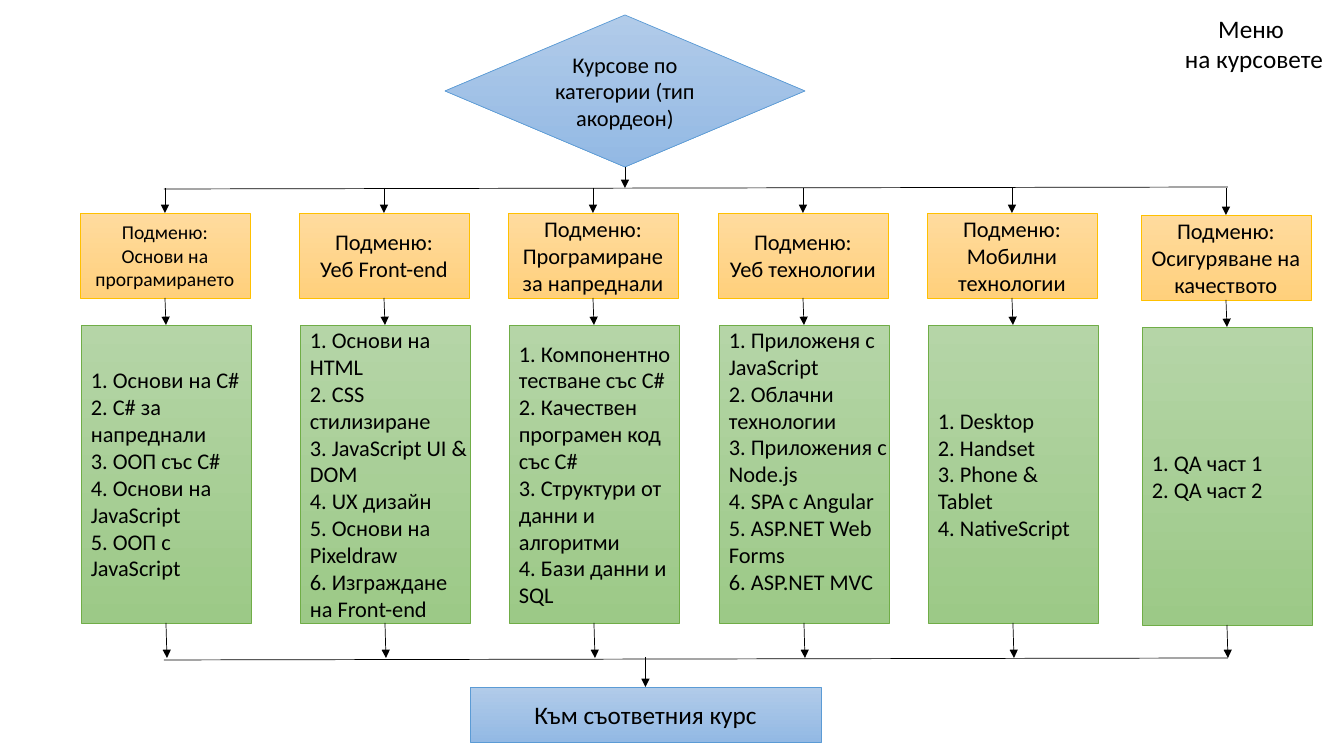
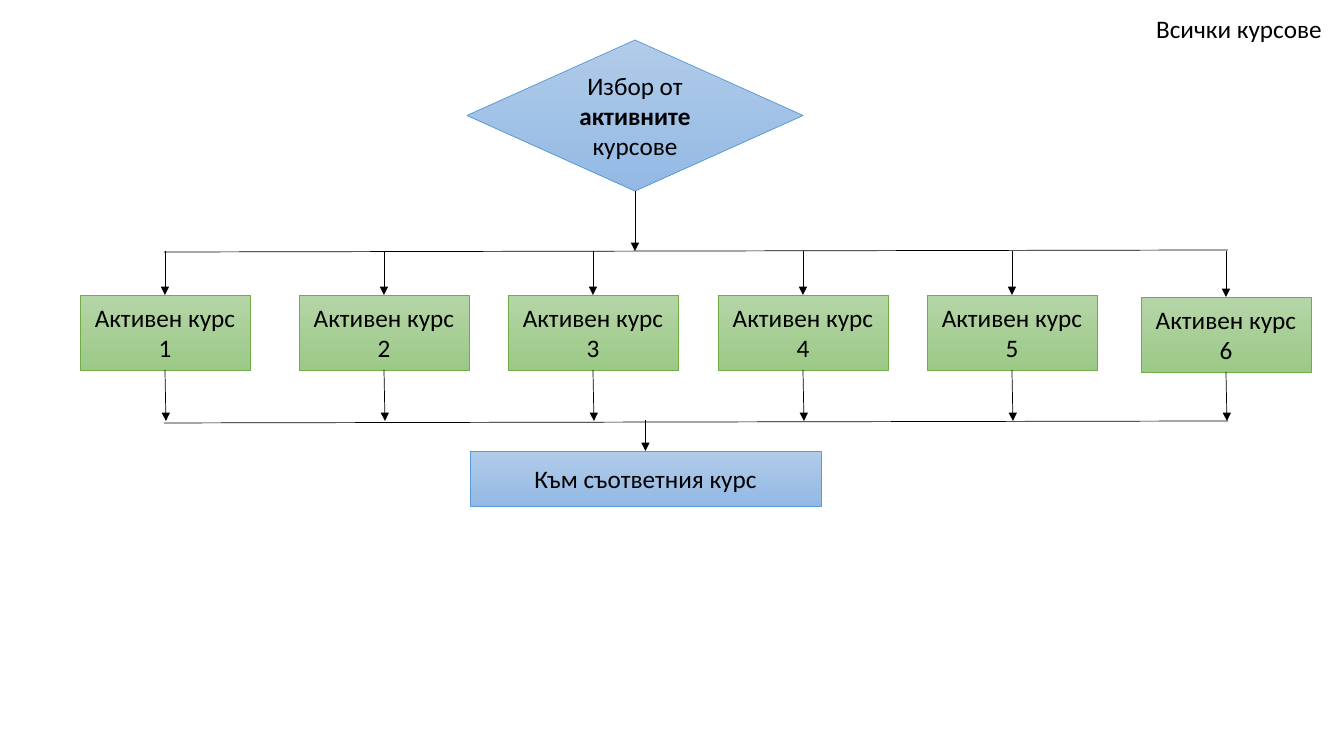
from pptx import Presentation
from pptx import util as u
from pptx.dml.color import RGBColor
from pptx.enum import shapes, text
from pptx.oxml.ns import qn
from lxml import etree

# Content: a paragraph is a string, or a tuple whose every second span is bold
MENU_TITLE = ["Меню ", "на курсовете"]
MENU_CHOICE = ["Курсове по категории (тип акордеон)"]
TARGET = ["Към съответния курс"]
SUBMENUS = [  # heading, heading size, courses, extra space under the courses
    (["Подменю:\vОснови на програмирането"], 14,
     ["1. Основи на C#", "2. C# за напреднали", "3. ООП със C#",
      "4. Основи на JavaScript", "5. ООП с JavaScript"], 0),
    (["Подменю:", "Уеб Front-end"], 16,
     ["1. Основи на HTML", "2. CSS стилизиране", "3. JavaScript UI & DOM",
      "4. UX дизайн", "5. Основи на Pixeldraw", "6. Изграждане на Front-end"], 0),
    (["Подменю:", "Програмиране за напреднали"], 16,
     ["1. Компонентно тестване със C#", "2. Качествен програмен код със C#",
      "3. Структури от данни и алгоритми", "4. Бази данни и SQL"], 0),
    (["Подменю:", "Уеб технологии"], 16,
     ["1. Приложеня с JavaScript", "2. Oблачни технологии",
      "3. Приложения с Node.js", "4. SPA с Angular",
      "5. ASP.NET Web Forms", "6. ASP.NET MVC"], 27),
    (["Подменю:", "Мобилни технологии"], 16,
     ["1. Desktop", "2. Handset", "3. Phone & Tablet", "4. NativeScript"], 0),
    (["Подменю:", "Осигуряване на качеството"], 16,
     ["1. QA част 1", "2. QA част 2"], 0),
]
ALL_TITLE = ["Всички курсове"]
ALL_CHOICE = [("Избор от ", "активните", " курсове")]
ACTIVE_COURSES = [f"Активен курс {n}" for n in range(1, 7)]

# Shared style: gradient top, gradient bottom, outline
BLACK = RGBColor(0, 0, 0)
BLUE = RGBColor(0xB1, 0xCB, 0xE9), RGBColor(0x93, 0xB9, 0xE4), RGBColor(0x5B, 0x9B, 0xD5)
GOLD = RGBColor(0xFF, 0xDB, 0x9E), RGBColor(0xFF, 0xD0, 0x7C), RGBColor(0xFF, 0xC0, 0x00)
GREEN = RGBColor(0xB5, 0xD5, 0xA7), RGBColor(0x9C, 0xC9, 0x87), RGBColor(0x70, 0xAD, 0x47)
FONT = "Calibri"
RECT, DIAMOND = shapes.MSO_SHAPE.RECTANGLE, shapes.MSO_SHAPE.DIAMOND
CENTER, LEFT = text.PP_ALIGN.CENTER, text.PP_ALIGN.LEFT

# Shared layout: left edge and drop of each column
COLUMNS = [(80, 0), (299, 0), (508, 0), (718, 0), (927, 0), (1141, 2)]
COLUMN_W = 170
RAIL = 164, 1228
TARGET_X, TARGET_W, TARGET_H = 470, 351, 55


def px(pixels):
    return round(pixels * 914400 / 100.8)


def write(frame, paragraphs, size, align=CENTER):
    for i, content in enumerate(paragraphs):
        para = frame.paragraphs[0] if i == 0 else frame.add_paragraph()
        para.alignment = align
        para.font.size, para.font.name = u.Pt(size), FONT
        para.font.color.rgb = BLACK
        if isinstance(content, str):
            para.text = content
            continue
        for j, words in enumerate(content):
            span = para.add_run()
            span.text = words
            span.font.bold = j % 2 == 1


def add_title(page, paragraphs, x, y, w, h):
    box = page.shapes.add_textbox(px(x), px(y), px(w), px(h))
    box.text_frame.word_wrap = False
    box.text_frame.auto_size = text.MSO_AUTO_SIZE.SHAPE_TO_FIT_TEXT
    write(box.text_frame, paragraphs, 18)


def add_box(page, kind, x, y, w, h, style, paragraphs, size, align=CENTER):
    top, bottom, outline = style
    box = page.shapes.add_shape(kind, px(x), px(y), px(w), px(h))
    box.shadow.inherit = False
    box.fill.gradient()
    box.fill.gradient_angle = 270
    for stop, color in zip(box.fill.gradient_stops, (top, bottom)):
        stop.color.rgb = color
    box.line.color.rgb = outline
    box.line.width = u.Pt(0.5)
    box.text_frame.vertical_anchor = text.MSO_ANCHOR.MIDDLE
    write(box.text_frame, paragraphs, size, align)
    return box


def add_line(page, x1, y1, x2, y2, arrow=True):
    line = page.shapes.add_connector(
        shapes.MSO_CONNECTOR.STRAIGHT, px(x1), px(y1), px(x2), px(y2))
    line.line.color.rgb = BLACK
    line.line.width = u.Pt(0.5)
    if arrow:
        etree.SubElement(line.line._get_or_add_ln(), qn("a:tailEnd"), type="triangle")
    etree.SubElement(line._element.spPr, qn("a:effectLst"))


def add_frame(page, choice, choice_size, diamond, top_rail, bottom_rail, target_y):
    """Diamond, the two rails, and the target box, with their arrows."""
    x, y, w, h = diamond
    add_box(page, DIAMOND, *diamond, BLUE, choice, choice_size)
    add_line(page, x + w / 2, y + h, x + w / 2, top_rail)
    for rail in (top_rail, bottom_rail):
        add_line(page, RAIL[0], rail + 1, RAIL[1], rail - 1, arrow=False)
    add_box(page, RECT, TARGET_X, target_y, TARGET_W, TARGET_H, BLUE, TARGET, 18)
    middle = TARGET_X + TARGET_W / 2
    add_line(page, middle, bottom_rail - 2, middle, target_y)


deck = Presentation()
deck.slide_width, deck.slide_height = px(1344), px(756)
blank = deck.slide_layouts[6]

# Course menu by category
page = deck.slides.add_slide(blank)
add_title(page, MENU_TITLE, 1174, 8, 160, 71)
top_rail, bottom_rail = 188, 659
menu_y, menu_h, list_y, list_h = 213, 85, 325, 298
add_frame(page, MENU_CHOICE, 16, (445, 15, 360, 152), top_rail, bottom_rail, 687)
for (x, drop), (heading, size, courses, space) in zip(COLUMNS, SUBMENUS):
    middle = x + COLUMN_W / 2
    add_line(page, middle, top_rail, middle, menu_y + drop)
    add_box(page, RECT, x, menu_y + drop, COLUMN_W, menu_h, GOLD, heading, size)
    add_line(page, middle, menu_y + menu_h + drop, middle + 1, list_y + drop)
    box = add_box(page, RECT, x + 1, list_y + drop, COLUMN_W, list_h, GREEN,
                  courses, 16, LEFT)
    box.text_frame.margin_right = 0
    box.text_frame.margin_bottom = px(5 + space)
    add_line(page, middle + 1, list_y + list_h + drop, middle + 2, bottom_rail - 1)

# All active courses
page = deck.slides.add_slide(blank)
add_title(page, ALL_TITLE, 1145, 8, 188, 40)
top_rail, bottom_rail = 251, 422
course_y, course_h = 295, 75
add_frame(page, ALL_CHOICE, 18, (467, 40, 336, 151), top_rail, bottom_rail, 451)
for (x, drop), course in zip(COLUMNS, ACTIVE_COURSES):
    middle = x + COLUMN_W / 2
    add_line(page, middle, top_rail, middle, course_y + drop)
    add_box(page, RECT, x, course_y + drop, COLUMN_W, course_h, GREEN, [course], 18)
    add_line(page, middle, course_y + course_h + drop, middle + 1, bottom_rail - 1)

deck.save("out.pptx")
